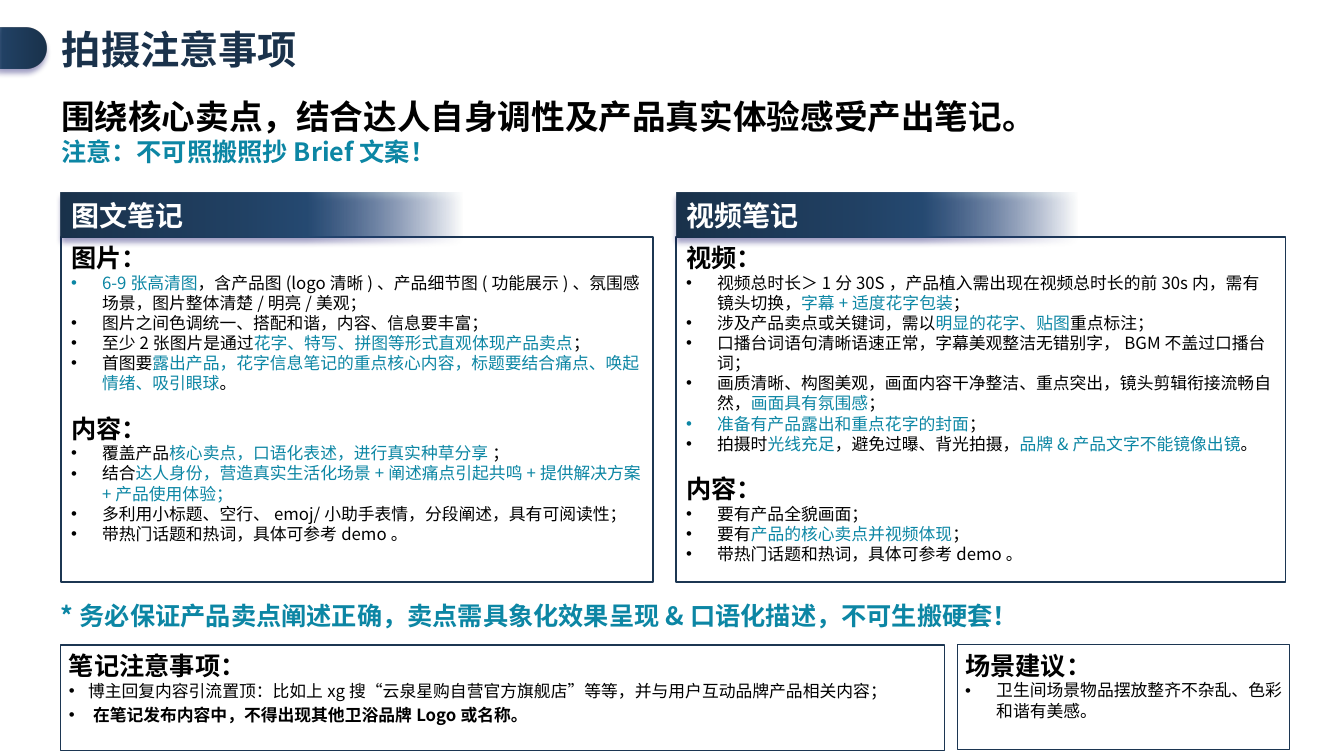
from lxml import etree
from pptx import Presentation
from pptx.dml.color import RGBColor
from pptx.enum.shapes import MSO_SHAPE
from pptx.enum.text import MSO_ANCHOR, PP_ALIGN
from pptx.oxml.ns import qn
from pptx.util import Emu, Inches, Pt

NAVY = RGBColor(0x1A, 0x32, 0x4B)
OUTLINE = RGBColor(0x1C, 0x36, 0x52)
TEAL = RGBColor(0x0C, 0x86, 0xA4)
BLACK = RGBColor(0x00, 0x00, 0x00)
WHITE = RGBColor(0xFF, 0xFF, 0xFF)
SHADOW = RGBColor(0x12, 0x0D, 0x69)
FADE = RGBColor(0x29, 0x51, 0x7E)
STEEL = RGBColor(0x26, 0x4A, 0x72)
BLUE = RGBColor(0x22, 0x42, 0x65)

RECT, ROUNDED = MSO_SHAPE.RECTANGLE, MSO_SHAPE.ROUNDED_RECTANGLE
TOP, MIDDLE = MSO_ANCHOR.TOP, MSO_ANCHOR.MIDDLE
LEFT, JUSTIFY = PP_ALIGN.LEFT, PP_ALIGN.JUSTIFY

PX_PER_INCH = 100.8


def px(n):
    return Emu(round(n * 914400 / PX_PER_INCH))


def add_xml(parent, tag, **attributes):
    return etree.SubElement(parent, qn(tag), attributes)


class Deck:
    """Holds the style and the slide being drawn."""

    font = "Noto Sans CJK SC"

    def __init__(self):
        self.prs = Presentation()
        self.prs.slide_width, self.prs.slide_height = Inches(13.33), Inches(7.5)
        self.slide = self.prs.slides.add_slide(self.prs.slide_layouts[6])

    def frame(self, shape, insets=(10, 10), anchor=TOP):
        frame = shape.text_frame
        frame.word_wrap = True
        frame.vertical_anchor = anchor
        frame.margin_left, frame.margin_right = map(px, insets)
        frame.margin_top = frame.margin_bottom = px(5)
        return frame

    def text(self, x, y, w, h, insets=(10, 10)):
        return self.frame(self.slide.shapes.add_textbox(px(x), px(y), px(w), px(h)), insets)

    def box(self, x, y, w, h, line=1, insets=(10, 10)):
        shape = self.slide.shapes.add_shape(RECT, px(x), px(y), px(w), px(h))
        shape.shadow.inherit = False
        shape.fill.background()
        shape.line.color.rgb = OUTLINE
        shape.line.width = Pt(line)
        return self.frame(shape, insets)

    def gradient_bar(self, kind, x, y, w, h, stops, angle):
        """Stops are (percent, colour); the first one is transparent."""
        shape = self.slide.shapes.add_shape(kind, px(x), px(y), px(w), px(h))
        shape.line.fill.background()
        shape.fill.background()
        shape.shadow.inherit = False
        props = shape.element.spPr
        gradient = etree.Element(qn("a:gradFill"), rotWithShape="1")
        stop_list = add_xml(gradient, "a:gsLst")
        for i, (percent, color) in enumerate(stops):
            stop = add_xml(stop_list, "a:gs", pos=str(percent * 1000))
            clr = add_xml(stop, "a:srgbClr", val=str(color))
            if i == 0:
                add_xml(clr, "a:alpha", val="0")
        add_xml(gradient, "a:lin", ang=str(angle * 60000), scaled="0")
        props.replace(props.find(qn("a:noFill")), gradient)
        shadow = add_xml(props.find(qn("a:effectLst")), "a:outerShdw", blurRad=str(Pt(4)),
                         dist=str(Pt(3)), dir="5400000", algn="t", rotWithShape="0")
        add_xml(add_xml(shadow, "a:srgbClr", val=str(SHADOW)), "a:alpha", val="40000")
        return shape

    def para(self, frame, text, size=12, color=BLACK, bold=False, before=0,
             indent=0, align=LEFT, spacing=None):
        """Adds a paragraph; words in [brackets] are teal, an indent brings a bullet."""
        first = frame.paragraphs[0]
        p = frame.add_paragraph() if first.runs else first
        p.alignment = align
        if before:
            p.space_before = Pt(before)
        if spacing:
            p.line_spacing = spacing
        if indent:
            props = p._p.get_or_add_pPr()
            props.set("marL", str(px(indent)))
            props.set("indent", str(-px(indent)))
            add_xml(props, "a:buFont", typeface="Arial")
            add_xml(props, "a:buChar", char="•")
        for i, piece in enumerate(text.replace("]", "[").split("[")):
            if piece:
                run = p.add_run()
                run.text = piece
                font = run.font
                font.name, font.size, font.bold = self.font, Pt(size), bold
                font.color.rgb = TEAL if i % 2 else color
                add_xml(run._r.get_or_add_rPr(), "a:ea", typeface=self.font)

    def section(self, frame, heading, bullets=(), before=0, indent=31, align=LEFT):
        self.para(frame, heading, 18, bold=True, before=before)
        for bullet in bullets:
            self.para(frame, bullet, indent=indent, align=align)


PICTURE_TIPS = [
    "[6-9张高清图]，含产品图(logo清晰)、产品细节图(功能展示)、氛围感场景，图片整体清楚/明亮/美观；",
    "图片之间色调统一、搭配和谐，内容、信息要丰富；",
    "至少2张图片是通过[花字、特写、拼图等形式直观体现产品卖点]；",
    "首图要[露出产品，花字信息笔记的重点核心内容，标题要结合痛点、唤起情绪、吸引眼球]。",
]
PICTURE_CONTENT = [
    "覆盖产品[核心卖点，口语化表述，进行真实种草分享 ]；",
    "结合[达人身份，营造真实生活化场景+阐述痛点引起共鸣+提供解决方案+产品使用体验；]",
    "多利用小标题、空行、emoj/小助手表情，分段阐述，具有可阅读性；",
    "带热门话题和热词，具体可参考demo。",
]
VIDEO_TIPS = [
    "视频总时长＞1分30S，产品植入需出现在视频总时长的前30s内，需有镜头切换，[字幕+适度花字包装]；",
    "涉及产品卖点或关键词，需以[明显的花字、贴图]重点标注；",
    "口播台词语句清晰语速正常，字幕美观整洁无错别字，BGM不盖过口播台词；",
    "画质清晰、构图美观，画面内容干净整洁、重点突出，镜头剪辑衔接流畅自然，[画面具有氛围感]；",
    "[准备有产品露出和重点花字的封面]；",
    "拍摄时[光线充足]，避免过曝、背光拍摄，[品牌&产品文字不能镜像出镜]。",
]
VIDEO_CONTENT = [
    "要有产品全貌画面；",
    "要有[产品的核心卖点并视频体现]；",
    "带热门话题和热词，具体可参考demo。",
]
# band title, left, box width, first section, its bullets, content bullets
COLUMNS = [
    ("图文笔记", 61, 592, "图片：", PICTURE_TIPS, PICTURE_CONTENT),
    ("视频笔记", 676, 609, "视频：", VIDEO_TIPS, VIDEO_CONTENT),
]
PILL_STOPS = [(19, FADE), (49, BLUE), (100, NAVY)]
BAND_STOPS = [(0, FADE), (39, STEEL), (54, BLUE), (100, NAVY)]


def main():
    deck = Deck()

    # Title with its pill at the slide edge
    pill = deck.gradient_bar(ROUNDED, -39, 28, 85, 41, PILL_STOPS, 0)
    pill.adjustments[0] = 0.5
    deck.para(deck.text(52, 20, 941, 58), "拍摄注意事项", 28, NAVY, True)

    # Lead
    lead = deck.text(61, 91, 1019, 81, (0, 0))
    deck.para(lead, "围绕核心卖点，结合达人自身调性及产品真实体验感受产出笔记。", 24, bold=True)
    deck.para(lead, "注意：不可照搬照抄Brief文案！", 18, TEAL, True)

    # Two columns of advice
    for band_title, x, width, heading, tips, content in COLUMNS:
        advice = deck.box(x, 237, width, 345)
        deck.section(advice, heading, tips)
        deck.section(advice, "内容：", content, before=14)
        band = deck.gradient_bar(RECT, x, 193, 401, 45, BAND_STOPS, 180)
        deck.para(deck.frame(band, anchor=MIDDLE), band_title, 20, WHITE, True)

    # Warning line
    warning = deck.text(61, 595, 946, 41, (0, 10))
    deck.para(warning, "*务必保证产品卖点阐述正确，卖点需具象化效果呈现&口语化描述，不可生搬硬套！",
              18, TEAL, True)

    # Bottom boxes
    notes = deck.box(61, 645, 883, 106, 0.75, (8, 0))
    deck.section(notes, "笔记注意事项：",
                 ["博主回复内容引流置顶：比如上xg搜“云泉星购自营官方旗舰店”等等，并与用户互动品牌产品相关内容；"],
                 indent=19, align=JUSTIFY)
    deck.para(notes, "在笔记发布内容中，不得出现其他卫浴品牌Logo或名称。", bold=True,
              indent=24, spacing=1.2)
    scene = deck.box(957, 645, 332, 105, 0.75, (8, 0))
    deck.section(scene, "场景建议：", ["卫生间场景物品摆放整齐不杂乱、色彩和谐有美感。"])

    deck.prs.save("out.pptx")


if __name__ == "__main__":
    main()
